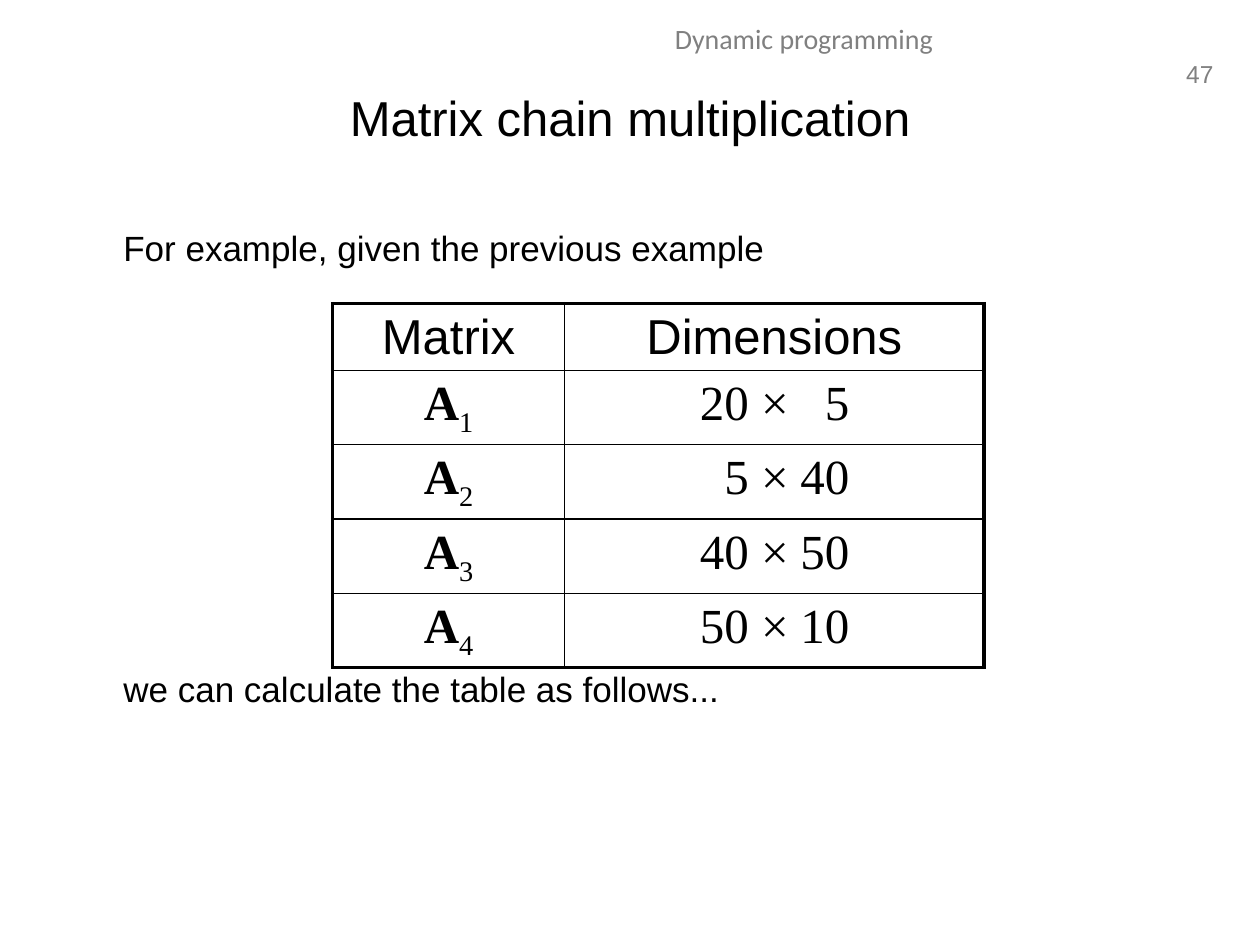
from lxml import etree
from pptx import Presentation
from pptx import util as u
from pptx.dml.color import RGBColor
from pptx.enum import text
from pptx.oxml.ns import qn

BLACK = RGBColor(0x00, 0x00, 0x00)
GRAY = RGBColor(0x80, 0x80, 0x80)
SANS, SERIF, HEADER_FONT = "Arial", "Times New Roman", "Calibri"
THIN, THICK = 1, 2.25
DIMENSIONS = [(20, 5), (5, 40), (40, 50), (50, 10)]
DIMENSION_STOPS = (u.Inches(1.68), u.Inches(2.16))


def write(para, words, size=20, font=SANS, color=BLACK, bold=False,
          align=text.PP_ALIGN.LEFT, subscript=False):
    para.alignment = align
    span = para.add_run()
    span.text = words
    span.font.size = u.Pt(size)
    span.font.name = font
    span.font.bold = bold
    span.font.color.rgb = color
    if subscript:
        span.font._element.set("baseline", "-25000")


def add_text(page, words, left, top, width, height, wrap=True, **style):
    box = page.shapes.add_textbox(left, top, width, height)
    box.text_frame.word_wrap = wrap
    write(box.text_frame.paragraphs[0], words, **style)


def add_header(page, left, top, width, height):
    add_text(page, "Dynamic programming", left, top, width, height, size=16,
             font=HEADER_FONT, color=GRAY, align=text.PP_ALIGN.CENTER)
    add_text(page, "47", u.Inches(9.29), top + u.Inches(0.3), u.Inches(0.44),
             u.Inches(0.33), wrap=False, size=14, color=GRAY,
             align=text.PP_ALIGN.RIGHT)


def set_title(page, left, top, width, height):
    title = page.shapes.title
    title.left, title.top, title.width, title.height = left, top, width, height
    title.text_frame.vertical_anchor = text.MSO_ANCHOR.MIDDLE
    write(title.text_frame.paragraphs[0], "Matrix chain multiplication", size=28,
          align=text.PP_ALIGN.CENTER)


def set_borders(cell, widths):
    properties = cell._tc.get_or_add_tcPr()
    for position, (side, width) in enumerate(widths.items()):
        line = etree.Element(qn(f"a:ln{side}"), w=str(u.Pt(width)))
        fill = etree.SubElement(line, qn("a:solidFill"))
        etree.SubElement(fill, qn("a:srgbClr"), val=str(BLACK))
        properties.insert(position, line)


def add_right_tabs(para, stops):
    tabs = etree.SubElement(para._p.get_or_add_pPr(), qn("a:tabLst"))
    for stop in stops:
        etree.SubElement(tabs, qn("a:tab"), pos=str(int(stop)), algn="r")


def add_dimensions_table(page, left, top, width, height):
    row_count, column_count = len(DIMENSIONS) + 1, 2
    table = page.shapes.add_table(row_count, column_count, left, top, width, height).table
    table.first_row = table.horz_banding = False
    table.columns[0].width = u.Inches(1.84)
    table.columns[1].width = width - u.Inches(1.84)
    header_height = u.Inches(0.53)
    for index, row in enumerate(table.rows):
        row.height = (height - header_height) // len(DIMENSIONS) if index else header_height
        for column, cell in enumerate(row.cells):
            cell.margin_top, cell.margin_bottom = u.Inches(0.05), u.Inches(0)
            cell.fill.background()
            set_borders(cell, {
                "L": THICK if column == 0 else THIN,
                "R": THICK if column == column_count - 1 else THIN,
                "T": THICK if index == 0 else THIN,
                "B": THICK if index == row_count - 1 else THIN,
            })
    centred = dict(size=28, align=text.PP_ALIGN.CENTER)
    for column, heading in enumerate(("Matrix", "Dimensions")):
        write(table.cell(0, column).text_frame.paragraphs[0], heading, **centred)
    for index, (rows, columns) in enumerate(DIMENSIONS, start=1):
        name = table.cell(index, 0).text_frame.paragraphs[0]
        write(name, "A", font=SERIF, bold=True, **centred)
        write(name, str(index), font=SERIF, subscript=True, **centred)
        dimensions = table.cell(index, 1).text_frame.paragraphs[0]
        add_right_tabs(dimensions, DIMENSION_STOPS)
        write(dimensions, f"\t{rows} ×\t{columns}", size=28, font=SERIF)


def add_body(page, left, top, width, height):
    line_height = u.Inches(0.42)
    add_text(page, "For example, given the previous example",
             left, top, width, line_height)
    add_text(page, "we can calculate the table as follows...",
             left, top + height - line_height, width, line_height)


def main():
    deck = Presentation()
    deck.slide_width, deck.slide_height = u.Inches(10), u.Inches(7.5)
    page = deck.slides.add_slide(deck.slide_layouts[5])
    add_header(page, u.Inches(3.19), u.Inches(0.12), u.Inches(6.38), u.Inches(0.4))
    set_title(page, u.Inches(0.5), u.Inches(0.3), u.Inches(9), u.Inches(1.25))
    add_body(page, u.Inches(0.88), u.Inches(1.75), u.Inches(8.62), u.Inches(3.92))
    add_dimensions_table(page, u.Inches(2.64), u.Inches(2.41), u.Inches(5.17), u.Inches(2.89))
    deck.save("out.pptx")


if __name__ == "__main__":
    main()
